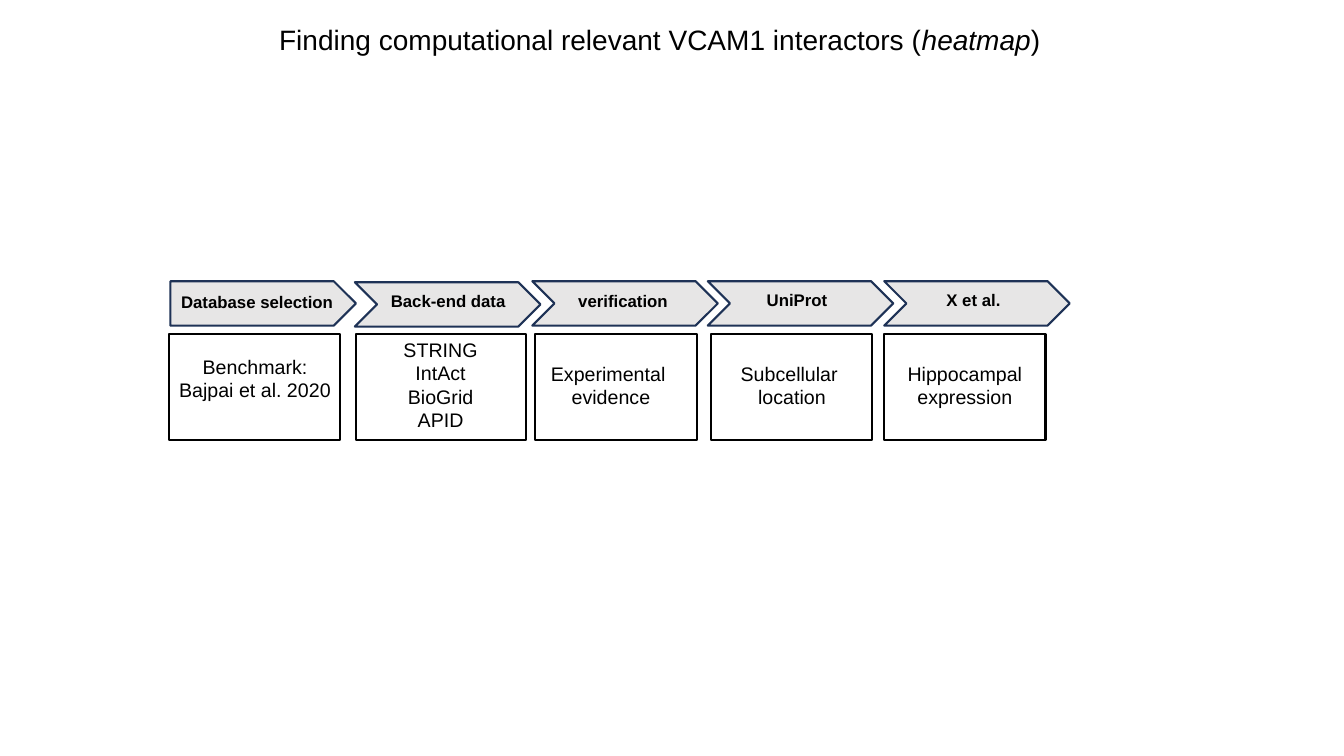
from pptx import Presentation
from pptx.dml.color import RGBColor
from pptx.enum.shapes import MSO_SHAPE as Kind
from pptx.enum.text import MSO_AUTO_SIZE as Fit, PP_ALIGN as Align
from pptx.util import Inches, Pt

HUES = {"ink": "000000", "edge": "1E3256", "grey": "E7E6E6"}
TITLE = {"size": Pt(20), "bold": False}
LABEL = {"size": Pt(12), "bold": True}
BODY = {"size": Pt(14), "bold": False}

# Each stage: arrow (left, top), label (left, top, width), frame (left, width),
# body (left, top, width, height), label text, body lines, body wrap
STAGES = [
    ((1.69, 2.79), (1.69, 2.85, 1.72), (1.68, 1.69), (1.61, 3.47, 1.84, 0.57),
     "Database selection", ["Benchmark:", "Bajpai et al. 2020"], True),
    ((3.52, 2.8), (3.77, 2.84, 1.35), (3.53, 1.69), (3.73, 3.3, 1.28, 1.04),
     "Back-end data", ["STRING", "IntAct", "BioGrid", "APID"], True),
    ((5.28, 2.79), (5.63, 2.84, 1.1), (5.31, 1.6), (5.36, 3.54, 1.4, 0.57),
     "verification", ["Experimental ", "evidence"], False),
    ((7.02, 2.79), (7.5, 2.83, 0.81), (7.05, 1.6), (7.24, 3.54, 1.23, 0.57),
     "UniProt", ["Subcellular ", "location"], False),
    ((8.77, 2.79), (9.28, 2.83, 0.75), (8.77, 1.6), (8.9, 3.54, 1.34, 0.57),
     "X et al.", ["Hippocampal", "expression"], False),
]


def hue(name):
    """Return the named colour."""
    return RGBColor.from_string(HUES[name])


def add_form(slide, kind, box, edge, fill=None):
    """Add an outlined shape, hollow unless a fill is named."""
    form = slide.shapes.add_shape(kind, *map(Inches, box))
    form.shadow.inherit = False
    form.line.color.rgb = hue(edge)
    form.line.width = Pt(1.5)
    if fill:
        form.fill.solid()
        form.fill.fore_color.rgb = hue(fill)
    else:
        form.fill.background()


def add_run(para, text, style):
    """Add a run in the given style."""
    run = para.add_run()
    run.text = text
    run.font.color.rgb = hue("ink")
    for key, value in {"name": "Arial", **style}.items():
        setattr(run.font, key, value)


def add_text(slide, box, lines, style, wrap=False, align=Align.CENTER):
    """Add a text box; each line is a list of (text, italic) parts."""
    frame = slide.shapes.add_textbox(*map(Inches, box)).text_frame
    frame.word_wrap = wrap
    frame.auto_size = Fit.SHAPE_TO_FIT_TEXT
    for index, parts in enumerate(lines):
        para = frame.add_paragraph() if index else frame.paragraphs[0]
        para.alignment = align
        for text, italic in parts:
            add_run(para, text, {**style, "italic": italic})


def add_stage(slide, kind, stage):
    """Add one step: its arrow and label above, its frame and body below."""
    arrow, label, (left, width), body, name, lines, wrap = stage
    add_form(slide, kind, (*arrow, 1.84, 0.44), "edge", "grey")
    add_text(slide, (*label, 0.3), [[(name, False)]], LABEL)
    add_form(slide, Kind.RECTANGLE, (left, 3.31, width, 1.06), "ink")
    add_text(slide, body, [[(line, False)] for line in lines], BODY, wrap)


def main():
    """Build the slide and save it."""
    deck = Presentation()
    deck.slide_width, deck.slide_height = Inches(13.33), Inches(7.5)
    slide = deck.slides.add_slide(deck.slide_layouts[6])
    title = [("Finding computational relevant VCAM1 interactors (", False),
             ("heatmap", True), (")", False)]
    add_text(slide, (2.67, 0.17, 7.8, 0.44), [title], TITLE, align=Align.LEFT)
    for index, stage in enumerate(STAGES):
        add_stage(slide, Kind.CHEVRON if index else Kind.PENTAGON, stage)
    deck.save("out.pptx")


if __name__ == "__main__":
    main()
